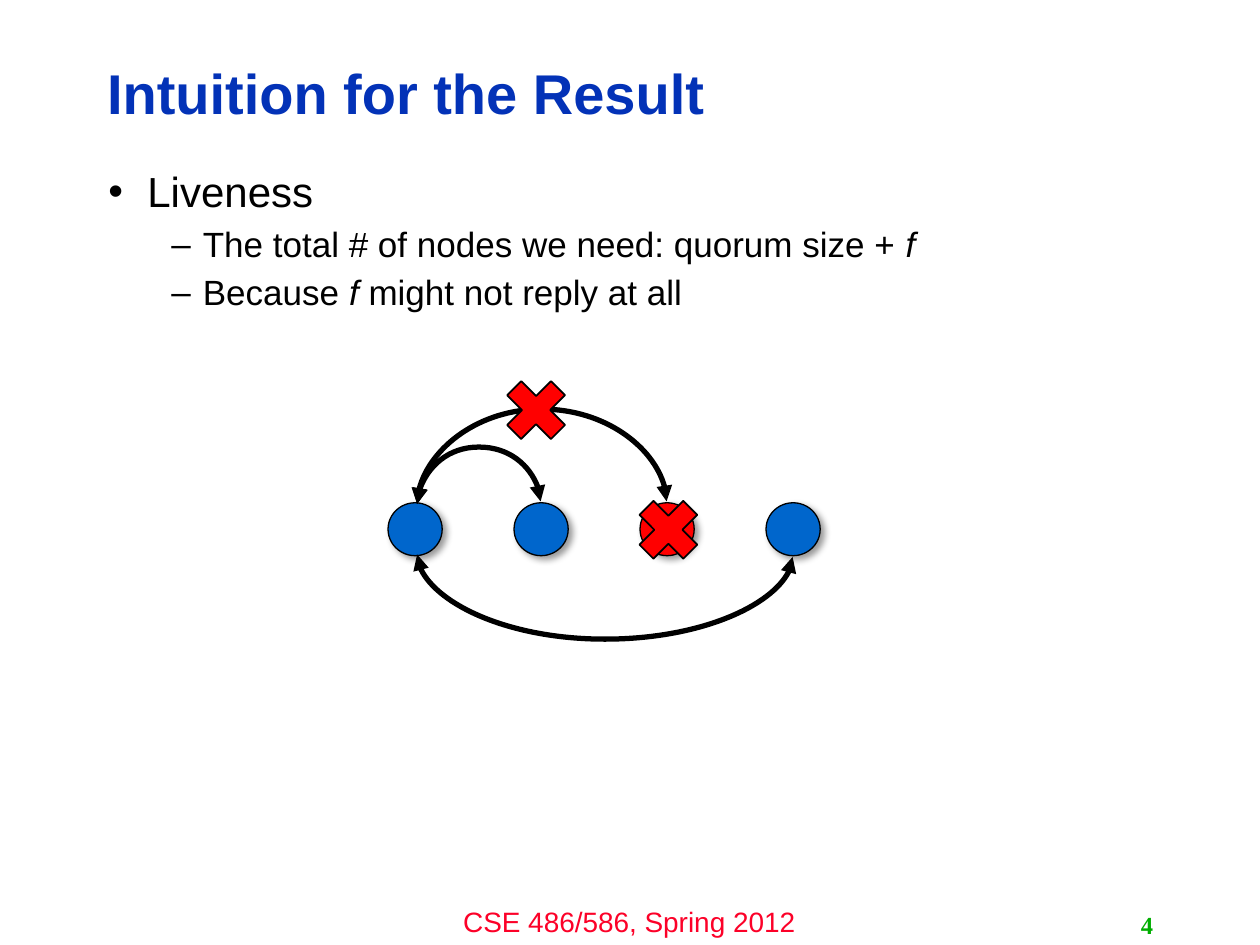
"""Build the slide on the liveness intuition for the quorum result."""
from dataclasses import dataclass

from lxml import etree
from pptx import Presentation
from pptx.dml.color import RGBColor
from pptx.enum.shapes import MSO_CONNECTOR, MSO_SHAPE
from pptx.enum.text import MSO_ANCHOR, MSO_AUTO_SIZE, PP_ALIGN
from pptx.oxml import parse_xml
from pptx.oxml.ns import nsdecls, qn
from pptx.util import Inches, Pt

CURVE = MSO_CONNECTOR.CURVE
OVAL, CROSS = MSO_SHAPE.OVAL, MSO_SHAPE.MATH_MULTIPLY
MIDDLE, TOP = MSO_ANCHOR.MIDDLE, MSO_ANCHOR.TOP
LEFT, CENTER, RIGHT = PP_ALIGN.LEFT, PP_ALIGN.CENTER, PP_ALIGN.RIGHT
NO_AUTOFIT = MSO_AUTO_SIZE.NONE
BLACK, RED, BLUE = "000000", "FF0000", "0066CC"
NODE_LEFT, NODE_STEP, NODE_TOP = 3.08, 1.0, 3.99
NODE_WIDTH, NODE_HEIGHT = 0.43, 0.42
CROSS_SIZE = 0.67
ARC_START, ARC_DROP = 3.31, 0.02


@dataclass
class Style:
    size: float
    color: str
    font: str = "Arial"
    bold: bool = False


@dataclass
class Bullet:
    runs: list[tuple[str, bool]]
    level: int
    mark: str
    margin: float
    hanging: float
    size: float
    space_before: float


@dataclass
class Arc:
    span: float
    middle: float
    bulge: float
    above: bool


BULLETS = [
    Bullet([("Liveness", False)], 0, "•", 0.31, 0.31, 24, 0),
    Bullet([("The total # of nodes we need: quorum size + ", False), ("f", True)],
           1, "–", 0.75, 0.25, 20, 6),
    Bullet([("Because ", False), ("f", True), (" might not reply at all", False)],
           1, "–", 0.75, 0.25, 20, 6),
]
NODE_COLORS = [BLUE, BLUE, RED, BLUE]
ARCS = [
    Arc(0.98, 3.99, 0.45, True),
    Arc(1.98, 3.99, 0.75, True),
    Arc(2.98, 4.41, 0.67, False),
]
CROSSES = [(3.92, 2.92), (4.97, 3.87)]


def rgb(value: str) -> RGBColor:
    return RGBColor.from_string(value)


def place(shape, left: float, top: float, width: float, height: float) -> None:
    shape.left, shape.top = Inches(left), Inches(top)
    shape.width, shape.height = Inches(width), Inches(height)


def add_run(paragraph, text: str, style: Style, italic: bool = False) -> None:
    run = paragraph.add_run()
    run.text = text
    run.font.name, run.font.size = style.font, Pt(style.size)
    run.font.bold, run.font.italic = style.bold, italic
    run.font.color.rgb = rgb(style.color)


def prepare_frame(shape, anchor, wrap: bool = True):
    frame = shape.text_frame
    frame.auto_size, frame.word_wrap = NO_AUTOFIT, wrap
    frame.vertical_anchor = anchor
    return frame


def add_label(slide, text: str, box: tuple, style: Style, align, anchor, wrap: bool) -> None:
    label = slide.shapes.add_textbox(*map(Inches, box))
    paragraph = prepare_frame(label, anchor, wrap).paragraphs[0]
    paragraph.alignment = align
    add_run(paragraph, text, style)


def fill_title(title) -> None:
    place(title, 0.75, 0.36, 7.98, 0.81)
    paragraph = prepare_frame(title, MIDDLE).paragraphs[0]
    paragraph.alignment, paragraph.line_spacing = LEFT, 0.9
    add_run(paragraph, "Intuition for the Result", Style(32, "0332B7", bold=True))


def fill_body(body) -> None:
    place(body, 0.76, 1.31, 8.4, 5.39)
    frame = prepare_frame(body, TOP)
    for index, bullet in enumerate(BULLETS):
        paragraph = frame.add_paragraph() if index else frame.paragraphs[0]
        paragraph.level, paragraph.line_spacing = bullet.level, 0.9
        paragraph.space_before = Pt(bullet.space_before)
        properties = paragraph._p.get_or_add_pPr()
        properties.set("marL", str(Inches(bullet.margin)))
        properties.set("indent", str(-Inches(bullet.hanging)))
        etree.SubElement(properties, qn("a:buChar")).set("char", bullet.mark)
        for text, italic in bullet.runs:
            add_run(paragraph, text, Style(bullet.size, BLACK), italic)


def add_mark(slide, kind, box: tuple, color: str, line_width: float):
    mark = slide.shapes.add_shape(kind, *map(Inches, box))
    mark.shadow.inherit = False
    mark.fill.solid()
    mark.fill.fore_color.rgb = rgb(color)
    mark.line.color.rgb = rgb(BLACK)
    mark.line.width = Pt(line_width)
    return mark


def add_node(slide, index: int, color: str) -> None:
    left = NODE_LEFT + index * NODE_STEP
    node = add_mark(slide, OVAL, (left, NODE_TOP, NODE_WIDTH, NODE_HEIGHT), color, 0.75)
    node._element.spPr.find(qn("a:effectLst")).append(parse_xml(
        f'<a:outerShdw {nsdecls("a")} blurRad="{Pt(4)}" dist="{Pt(3)}" dir="2700000" '
        'algn="tl" rotWithShape="0"><a:srgbClr val="000000"><a:alpha val="40000"/>'
        '</a:srgbClr></a:outerShdw>'))


def add_arc(slide, arc: Arc) -> None:
    connector = slide.shapes.add_connector(CURVE, 0, 0, 0, 0)
    center = ARC_START + arc.span / 2
    place(connector, center - ARC_DROP / 2, arc.middle - arc.span / 2, ARC_DROP, arc.span)
    connector.line.color.rgb = rgb(BLACK)
    connector.line.width = Pt(3)
    properties = connector._element.spPr
    transform = properties.find(qn("a:xfrm"))
    transform.set("rot", "5400000" if arc.above else "16200000")
    transform.set("flipH", "1")
    transform.set("flipV", "1" if arc.above else "0")
    guides = properties.find(qn("a:prstGeom")).find(qn("a:avLst"))
    guide = etree.SubElement(guides, qn("a:gd"))
    guide.set("name", "adj1")
    guide.set("fmla", f"val {round(arc.bulge / ARC_DROP * 100000)}")
    for end in ("a:headEnd", "a:tailEnd"):
        etree.SubElement(properties.find(qn("a:ln")), qn(end)).set("type", "triangle")
    etree.SubElement(properties, qn("a:effectLst"))


def main() -> None:
    presentation = Presentation()
    presentation.slide_width, presentation.slide_height = Inches(10), Inches(7.5)
    slide = presentation.slides.add_slide(presentation.slide_layouts[1])
    fill_title(slide.shapes.title)
    fill_body(slide.placeholders[1])
    add_label(slide, "CSE 486/586, Spring 2012", (3.33, 7.13, 3.33, 0.37),
              Style(16, "FC0128"), CENTER, TOP, True)
    add_label(slide, "4", (7.17, 7.18, 2.08, 0.32),
              Style(14, "00AE00", "Times New Roman", True), RIGHT, MIDDLE, False)
    for index, color in enumerate(NODE_COLORS):
        add_node(slide, index, color)
    for arc in ARCS:
        add_arc(slide, arc)
    for left, top in CROSSES:
        add_mark(slide, CROSS, (left, top, CROSS_SIZE, CROSS_SIZE), RED, 1)
    presentation.save("out.pptx")


if __name__ == "__main__":
    main()
